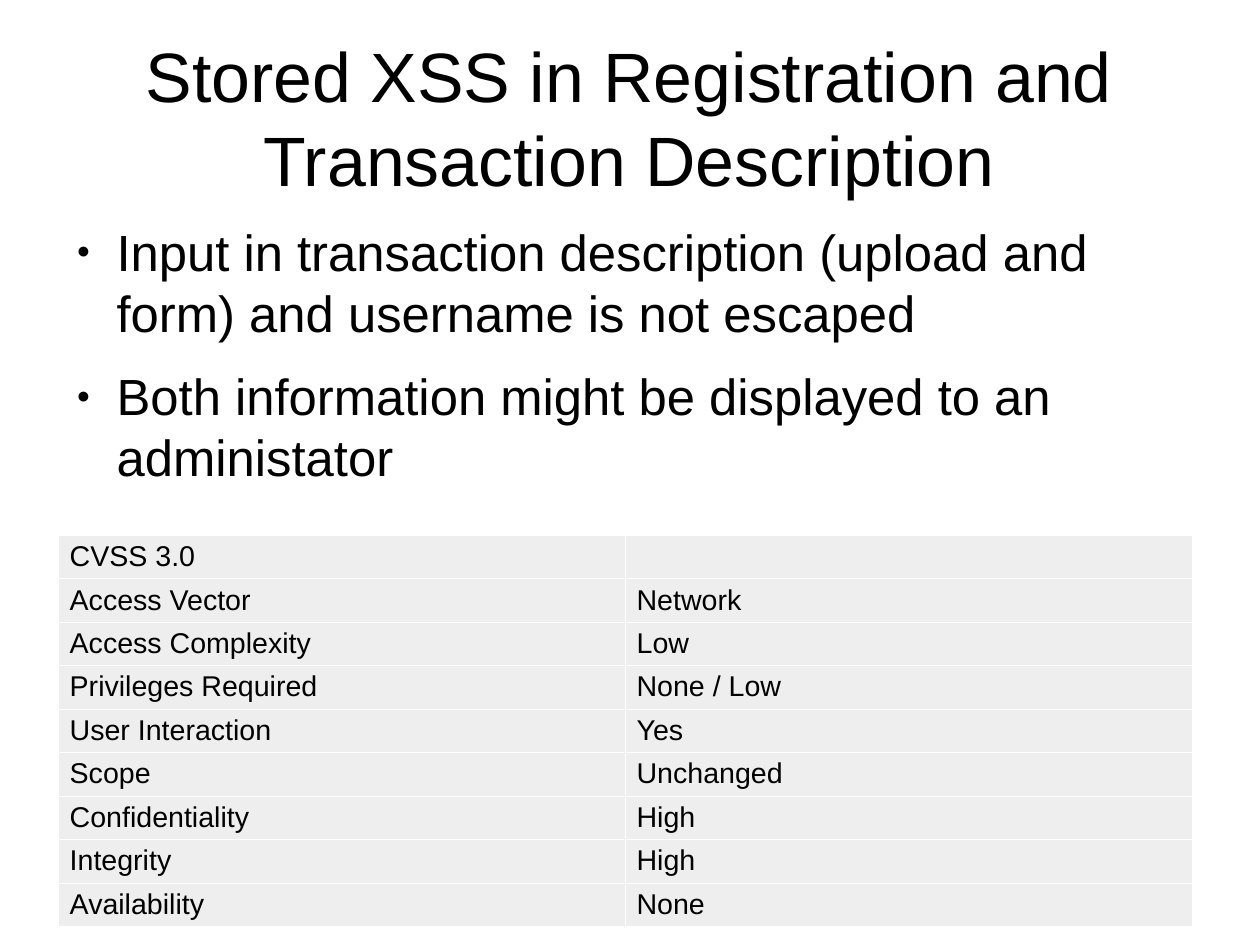
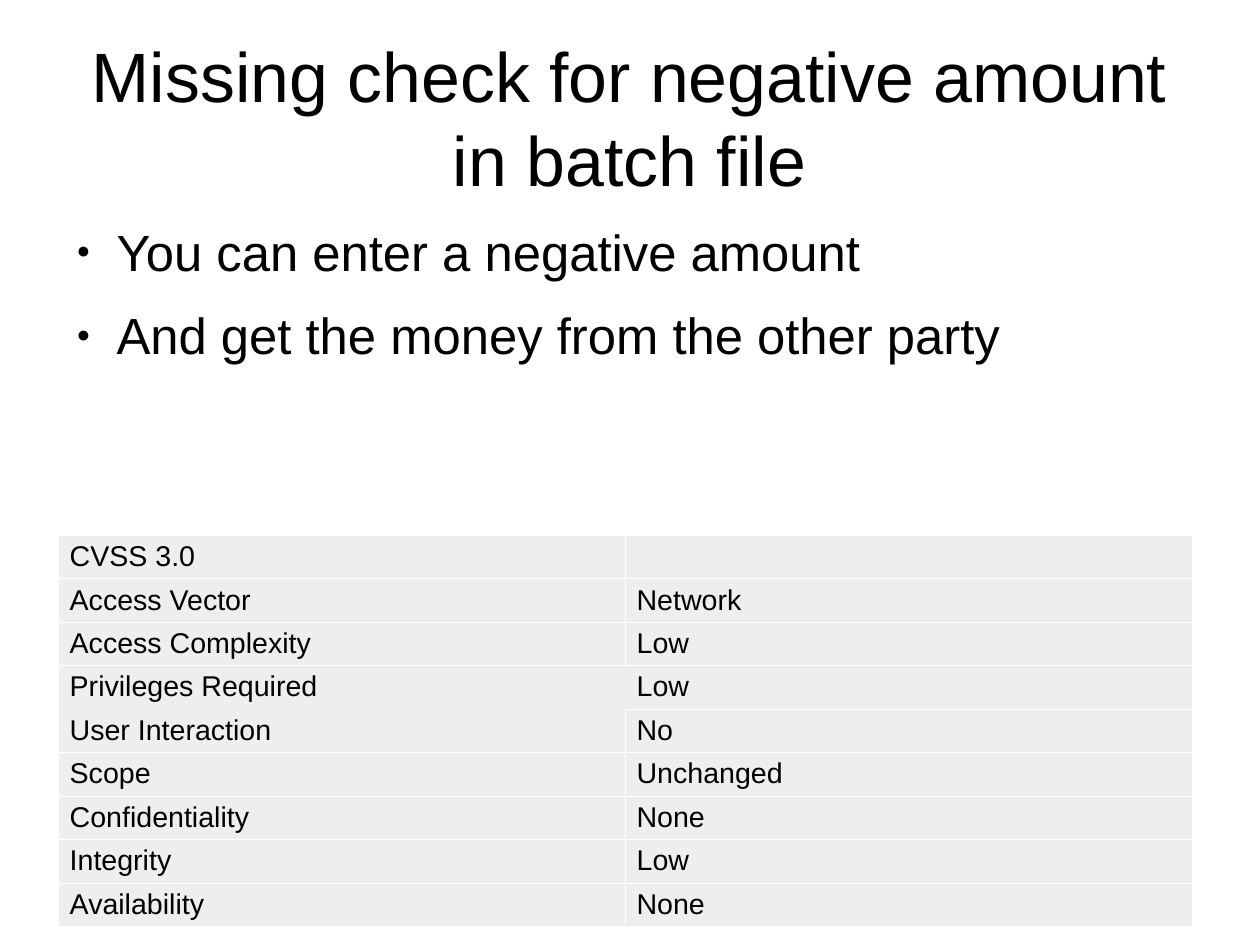
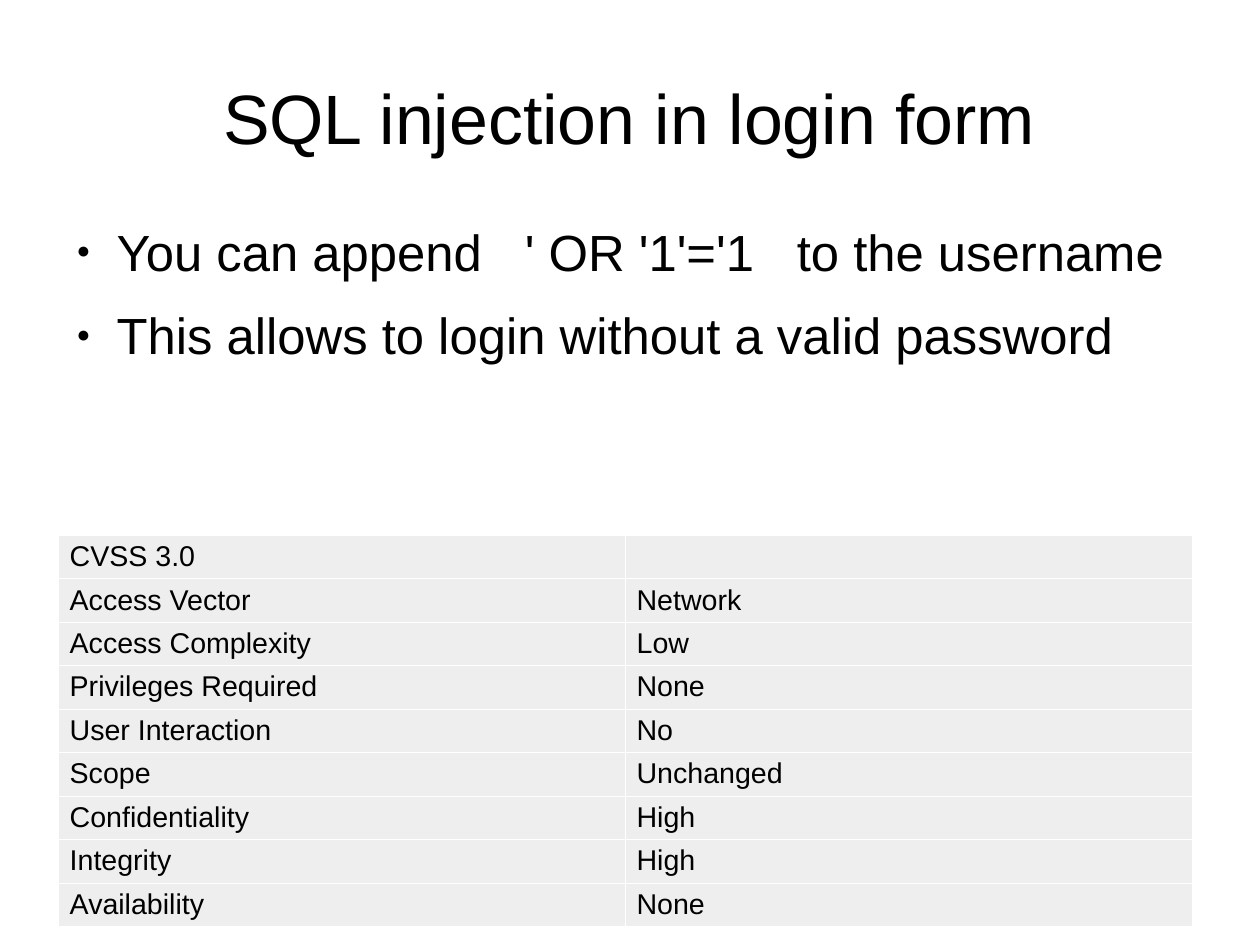
from lxml import etree
from pptx import Presentation
from pptx import util as u
from pptx.dml.color import RGBColor
from pptx.enum import text
from pptx.oxml.ns import qn

COLORS = {"text": "000000", "cell": "EEEEEE", "border": "FFFFFF"}
FONT = "Arial"
NO_GRID = "{2D5ABB26-0587-4C30-8999-92F81FD0307C}"
BOXES = {0: (0.55, 0.33, 9.92, 1.38), 1: (0.55, 1.93, 9.92, 4.79)}
FRAME = {"margin_left": 0, "margin_top": 0, "margin_right": 0, "margin_bottom": 0,
         "word_wrap": True, "auto_size": text.MSO_AUTO_SIZE.NONE}
BULLET = [("buClr", {}), ("buSzPct", {"val": "45000"}),
          ("buFont", {"typeface": FONT}), ("buChar", {"char": "●"})]
LABELS = ["CVSS 3.0", "Access Vector", "Access Complexity", "Privileges Required",
          "User Interaction", "Scope", "Confidentiality", "Integrity", "Availability"]
ROW_H, COL_W = 0.38, 4.96

SLIDES = [
    {"title": "Stored XSS in Registration and Transaction Description",
     "bullets": [["Input in transaction description (upload and form) and username is not escaped"],
                 ["Both information might be displayed to an administator"]],
     "values": ["", "Network", "Low", "None / Low", "Yes", "Unchanged", "High", "High", "None"],
     "open": {}},
    {"title": "Missing check for negative amount in batch file",
     "bullets": [["You can enter a negative amount"],
                 ["And get the money from the other party"]],
     "values": ["", "Network", "Low", "Low", "No", "Unchanged", "None", "Low", "None"],
     "open": {(3, 0): "RB", (3, 1): "L", (4, 0): "T"}},
    {"title": "SQL injection in login form",
     "bullets": [["You can append", "' OR '1'='1", "to the username"],
                 ["This allows to login without a valid password"]],
     "values": ["", "Network", "Low", "None", "No", "Unchanged", "High", "High", "None"],
     "open": {}},
]


def style(p, size):
    for r in p.runs:
        for name, value in {"name": FONT, "size": u.Pt(size), "bold": False}.items():
            setattr(r.font, name, value)
        r.font.color.rgb = RGBColor.from_string(COLORS["text"])


def add_xml(parent, tag, attrs):
    return etree.SubElement(parent, qn("a:" + tag), attrs)


prs = Presentation()
prs.slide_width, prs.slide_height = u.Inches(28 / 2.54), u.Inches(21 / 2.54)
layout = prs.slide_layouts[1]
for sp in layout.placeholders:
    if sp.placeholder_format.idx in BOXES:
        box = BOXES[sp.placeholder_format.idx]
        for name, value in zip(("left", "top", "width", "height"), box):
            setattr(sp, name, u.Inches(value))

for data in SLIDES:
    s = prs.slides.add_slide(layout)
    title, body = s.shapes.title, s.placeholders[1]
    for sp in (title, body):
        for name, value in FRAME.items():
            setattr(sp.text_frame, name, value)

    title.text_frame.vertical_anchor = text.MSO_ANCHOR.MIDDLE
    p = title.text_frame.paragraphs[0]
    p.text = data["title"]
    p.alignment = text.PP_ALIGN.CENTER
    style(p, 44)

    tf = body.text_frame
    for i, parts in enumerate(data["bullets"]):
        p = tf.add_paragraph() if i else tf.paragraphs[0]
        pPr = p._p.get_or_add_pPr()
        pPr.set("marL", str(u.Inches(0.47)))
        pPr.set("indent", str(u.Inches(-0.35)))
        for tag, attrs in BULLET:
            el = add_xml(pPr, tag, attrs)
            if tag == "buClr":
                add_xml(el, "srgbClr", {"val": COLORS["text"]})
        p.space_before = u.Pt(14.2 if i else 0)
        for j, part in enumerate(parts):
            if j:
                r = p.add_run()
                r.text = " "
                r._r.get_or_add_rPr().set("spc", "1780")
            p.add_run().text = part
        style(p, 32)

    tbl = s.shapes.add_table(len(LABELS), 2, u.Inches(0.51), u.Inches(4.68),
                             u.Inches(2 * COL_W), u.Inches(len(LABELS) * ROW_H)).table
    tbl.first_row = tbl.horz_banding = False
    tbl._tbl.tblPr.find(qn("a:tableStyleId")).text = NO_GRID
    for col in tbl.columns:
        col.width = u.Inches(COL_W)
    for i, pair in enumerate(zip(LABELS, data["values"])):
        tbl.rows[i].height = u.Inches(ROW_H)
        for j, value in enumerate(pair):
            cell = tbl.cell(i, j)
            p = cell.text_frame.paragraphs[0]
            if value:
                p.text = value
                style(p, 18)
            else:
                end = add_xml(p._p, "endParaRPr", {"sz": "1800"})
                add_xml(end, "latin", {"typeface": FONT})
            tcPr = cell._tc.get_or_add_tcPr()
            for side in "LRTB":
                ln = add_xml(tcPr, "ln" + side, {"w": str(u.Pt(0.06))})
                if side in data["open"].get((i, j), ""):
                    add_xml(ln, "noFill", {})
                else:
                    fill = add_xml(ln, "solidFill", {})
                    add_xml(fill, "srgbClr", {"val": COLORS["border"]})
            cell.fill.solid()
            cell.fill.fore_color.rgb = RGBColor.from_string(COLORS["cell"])

prs.save("out.pptx")
